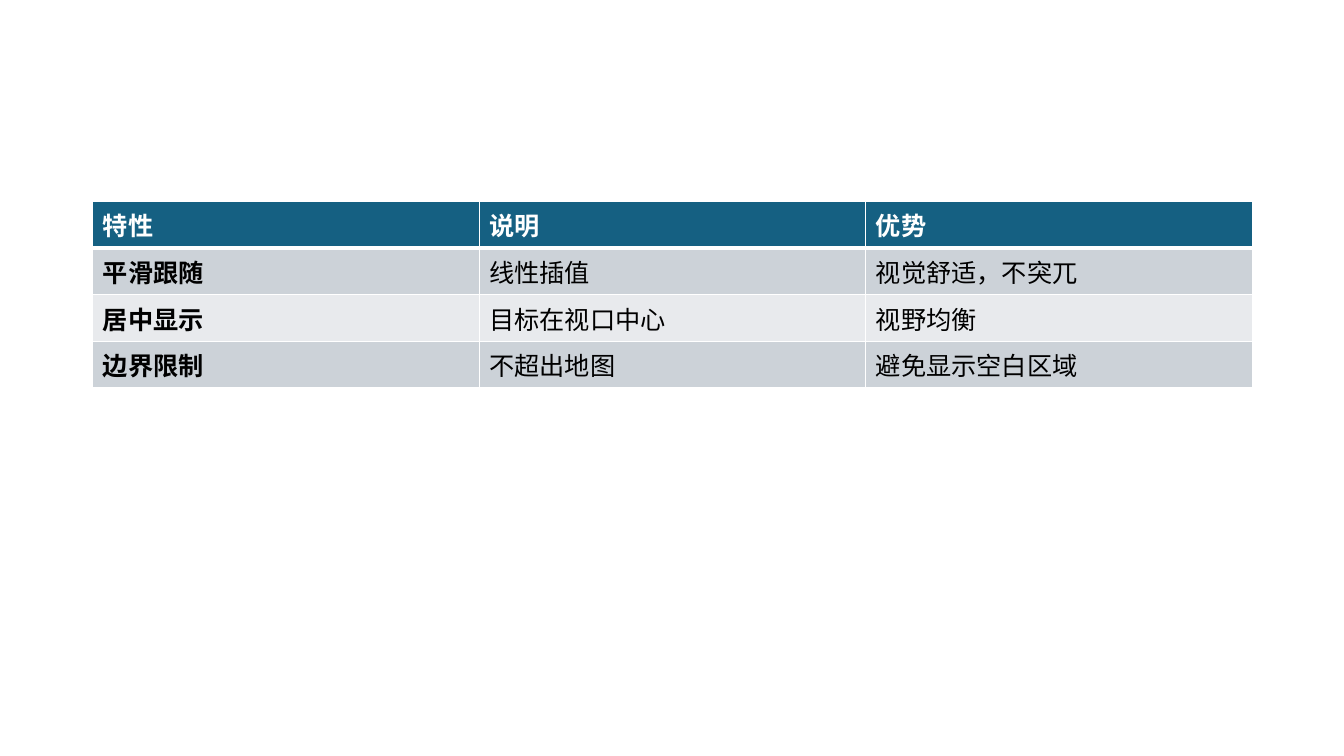
from lxml import etree
from pptx import Presentation
from pptx.dml.color import RGBColor
from pptx.enum.text import MSO_ANCHOR
from pptx.oxml.ns import qn
from pptx.util import Inches, Pt

MIDDLE = MSO_ANCHOR.MIDDLE
WHITE = RGBColor(0xFF, 0xFF, 0xFF)
BLACK = RGBColor(0, 0, 0)
TEAL = RGBColor(0x15, 0x60, 0x82)
BANDS = (RGBColor(0xE8, 0xEA, 0xED), RGBColor(0xCC, 0xD2, 0xD8))
FONT = "Karla"

ROWS = [
    ("特性", "说明", "优势"),
    ("平滑跟随", "线性插值", "视觉舒适，不突兀"),
    ("居中显示", "目标在视口中心", "视野均衡"),
    ("边界限制", "不超出地图", "避免显示空白区域"),
]


def add_edge(cell, side, width):
    props = cell._tc.get_or_add_tcPr()
    line = etree.SubElement(props, qn(f"a:ln{side}"), w=str(Pt(width)))
    fill = etree.SubElement(line, qn("a:solidFill"))
    etree.SubElement(fill, qn("a:srgbClr"), val=str(WHITE))


def fill_cell(cell, text, row, col):
    head = row == 0
    # Borders come before the fill, with a thick rule under the header
    for side in "LRTB":
        thick = (row, side) in ((0, "B"), (1, "T"))
        add_edge(cell, side, 3 if thick else 1)
    cell.fill.solid()
    cell.fill.fore_color.rgb = TEAL if head else BANDS[row % 2]
    cell.vertical_anchor = MIDDLE
    # Text
    run = cell.text_frame.paragraphs[0].add_run()
    run.text = text
    run.font.name = FONT
    run.font.size = Pt(18)
    run.font.bold = head or col == 0
    run.font.color.rgb = WHITE if head else BLACK


def add_grid(slide, rows):
    frame = slide.shapes.add_table(
        len(rows), len(rows[0]),
        Inches(0.92), Inches(2), Inches(11.5), Inches(1.62))
    table = frame.table
    table.first_col = True
    for r, texts in enumerate(rows):
        for c, text in enumerate(texts):
            fill_cell(table.cell(r, c), text, r, c)


def main():
    deck = Presentation()
    deck.slide_width = Inches(13.33)
    deck.slide_height = Inches(7.5)
    # Blank layout, as the slide has no title
    slide = deck.slides.add_slide(deck.slide_layouts[6])
    add_grid(slide, ROWS)
    deck.save("out.pptx")


if __name__ == "__main__":
    main()
